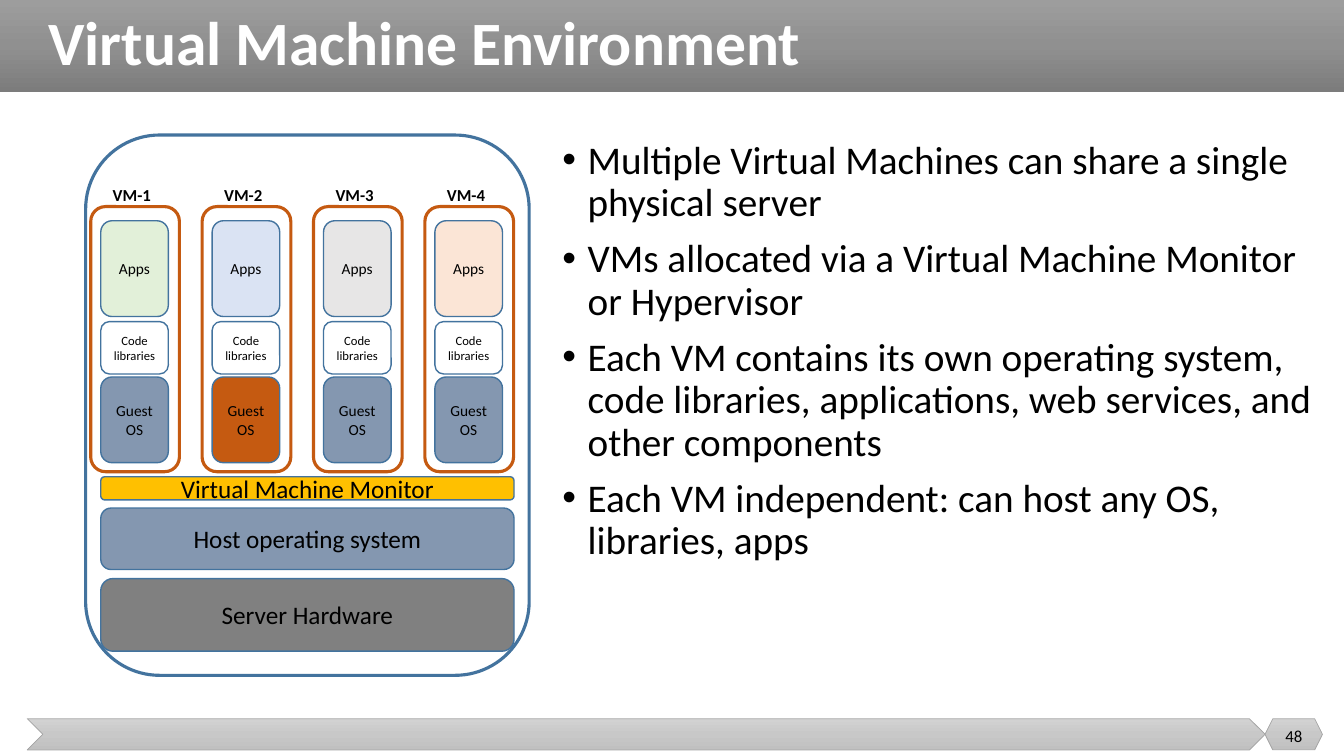
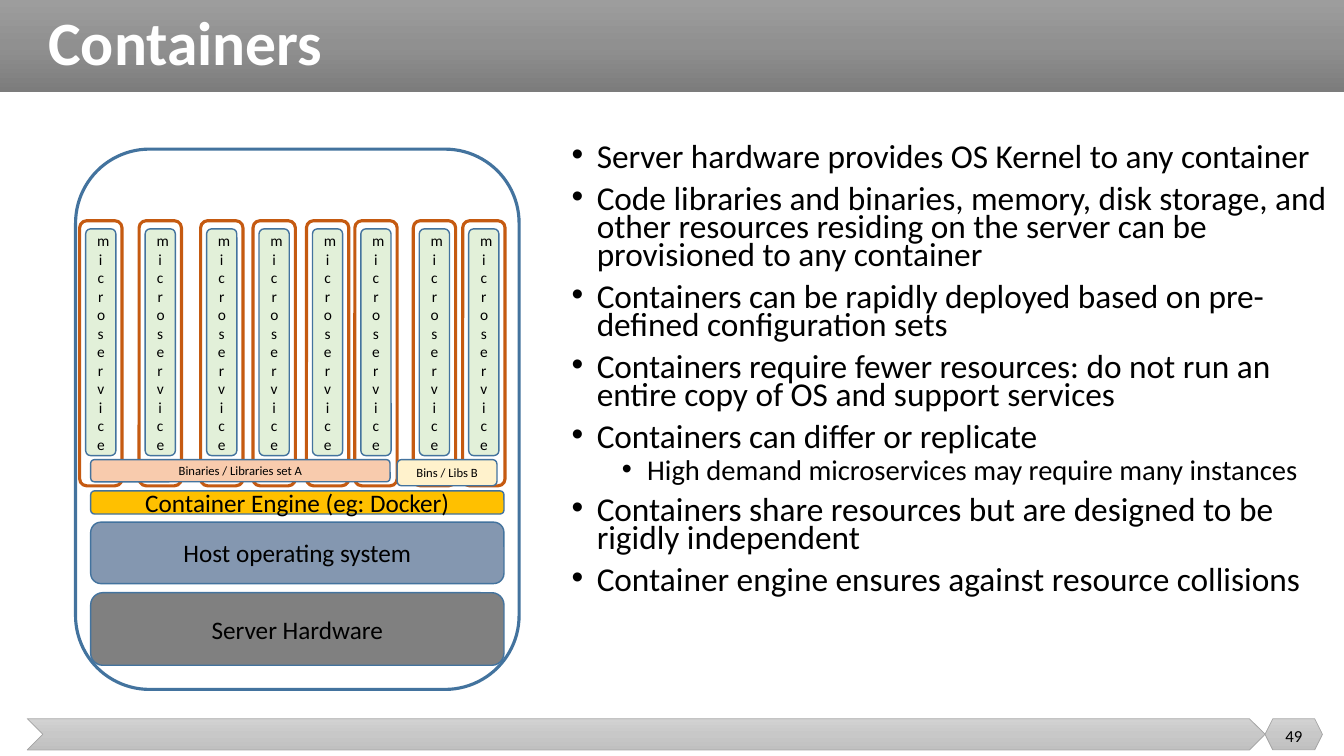
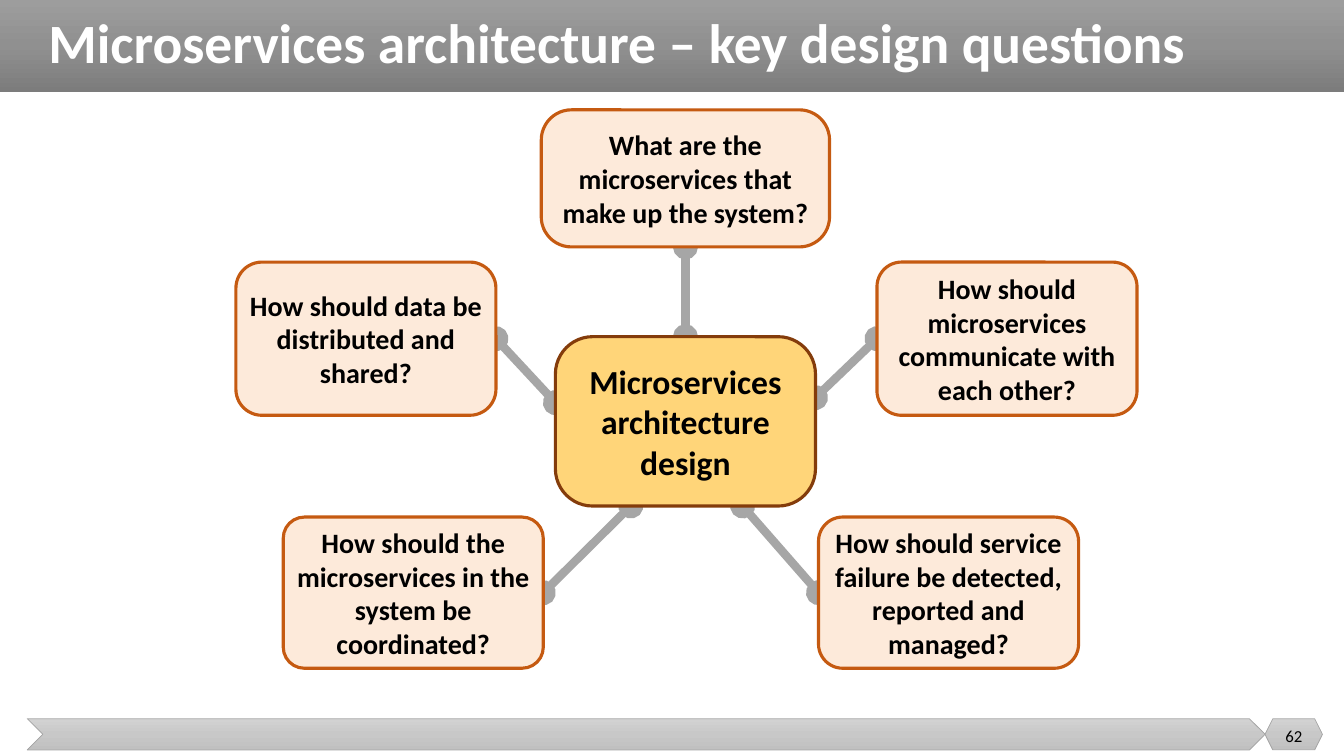
from copy import deepcopy
from dataclasses import dataclass

from lxml.etree import SubElement
from pptx import Presentation
from pptx.dml.color import RGBColor
from pptx.enum.shapes import MSO_CONNECTOR, MSO_SHAPE
from pptx.enum.text import MSO_ANCHOR, MSO_AUTO_SIZE, PP_ALIGN
from pptx.oxml.ns import qn
from pptx.util import Inches, Pt

FONT = "Calibri"
BLACK = RGBColor(0x00, 0x00, 0x00)
WHITE = RGBColor(0xFF, 0xFF, 0xFF)
BLUE_LINE = RGBColor(0x43, 0x73, 0x9E)
SLATE = RGBColor(0x84, 0x97, 0xB0)
GRAY = RGBColor(0x80, 0x80, 0x80)
GOLD = RGBColor(0xFF, 0xC0, 0x00)
ORANGE = RGBColor(0xC5, 0x5A, 0x11)
BROWN = RGBColor(0x84, 0x3C, 0x0B)
PALE_GREEN = RGBColor(0xE2, 0xF0, 0xD9)
PALE_BLUE = RGBColor(0xDA, 0xE3, 0xF3)
PALE_GRAY = RGBColor(0xE7, 0xE6, 0xE6)
PALE_ORANGE = RGBColor(0xFB, 0xE5, 0xD6)
PEACH = RGBColor(0xF8, 0xCB, 0xAD)
CREAM = RGBColor(0xFF, 0xF2, 0xCC)
HUB_FILL = RGBColor(0xFF, 0xD5, 0x79)
QUESTION_FILL = RGBColor(0xFD, 0xEA, 0xDA)
LINK_GRAY = RGBColor(0xA6, 0xA6, 0xA6)
FOOTER_LINE = RGBColor(0xA5, 0xA5, 0xA5)
HEADER_SHADES = (RGBColor(0x9D, 0x9D, 0x9D), RGBColor(0x90, 0x90, 0x90), RGBColor(0x7C, 0x7C, 0x7C))
FOOTER_SHADES = (RGBColor(0xD2, 0xD2, 0xD2), RGBColor(0xC8, 0xC8, 0xC8), RGBColor(0xC0, 0xC0, 0xC0))


def cells(count):
    """Convert a count of grid cells, ten to the inch, to a length."""
    return Inches(count / 10)


@dataclass
class Box:
    """A rectangle measured in grid columns and rows."""

    left: float
    top: float
    width: float
    height: float

    def area(self, left, top, width, height):
        """Return a box placed relative to this one."""
        return Box(self.left + left, self.top + top, width, height)

    def point(self, across, down):
        """Return the point at the given shares of width and height."""
        return cells(self.left + across * self.width), cells(self.top + down * self.height)

    def lengths(self):
        """Return left, top, width and height as lengths."""
        return [cells(count) for count in (self.left, self.top, self.width, self.height)]


SLIDE = Box(0, 0, 133.33, 75)
HEADER = SLIDE.area(0, 0, 133.33, 9.1)
TITLE = SLIDE.area(3.8, 0, 127.4, 9.1)
FOOTER = SLIDE.area(2.7, 71.3, 122.8, 3.1)
PAGE_BADGE = SLIDE.area(125.5, 71.3, 5.7, 3.1)
PAGE_NUMBER = SLIDE.area(125.5, 71, 5.7, 4)

VM_COLUMNS = (
    ("VM-1", PALE_GREEN, SLATE),
    ("VM-2", PALE_BLUE, ORANGE),
    ("VM-3", PALE_GRAY, SLATE),
    ("VM-4", PALE_ORANGE, SLATE),
)
CONTAINER_COLUMNS = (0.4, 6.3, 12.4, 17.6, 22.9, 27.7, 33.5, 38.4)

VM_POINTS = (
    (0, "Multiple Virtual Machines can share a single physical server"),
    (0, "VMs allocated via a Virtual Machine Monitor or Hypervisor"),
    (0, "Each VM contains its own operating system, code libraries, applications, "
        "web services, and other components"),
    (0, "Each VM independent: can host any OS, libraries, apps"),
)
CONTAINER_POINTS = (
    (0, "Server hardware provides OS Kernel to any container"),
    (0, "Code libraries and binaries, memory, disk storage, and other resources "
        "residing on the server can be provisioned to any container"),
    (0, "Containers can be rapidly deployed based on pre-defined configuration sets"),
    (0, "Containers require fewer resources: do not run an entire copy of OS and support services"),
    (0, "Containers can differ or replicate"),
    (1, "High demand microservices may require many instances"),
    (0, "Containers share resources but are designed to be rigidly independent"),
    (0, "Container engine ensures against resource collisions"),
)

HUB = Box(55.1, 33.4, 25.8, 16.8)
QUESTIONS = (
    ("How should microservices communicate with each other?",
     Box(87, 26, 25.8, 15.2), 0.16, (0, 0.5), (1, 0.36)),
    ("How should service failure be detected, reported and managed?",
     Box(81.2, 51.3, 25.8, 15), 0.16, (0, 0.5), (0.72, 1)),
    ("How should data be distributed and shared?",
     Box(23.4, 26, 25.8, 15.2), 0.17, (1, 0.5), (0, 0.39)),
    ("What are the microservices that make up the system?",
     Box(53.7, 10.9, 28.6, 13.6), 0.22, (0.5, 1), (0.5, 0)),
    ("How should the microservices in the system be coordinated?",
     Box(28.1, 51.3, 25.8, 15), 0.14, (1, 0.5), (0.29, 1)),
)


def format_runs(paragraph, size, color=BLACK, bold=False):
    """Set the font of every run in a paragraph."""
    for run in paragraph.runs:
        run.font.name = FONT
        run.font.size = Pt(size)
        run.font.bold = bold
        run.font.color.rgb = color


def add_panel(slide, box, fill, line, line_width=1, roundness=None):
    """Add a flat rounded rectangle."""
    shape = slide.shapes.add_shape(MSO_SHAPE.ROUNDED_RECTANGLE, *box.lengths())
    shape.shadow.inherit = False
    shape.fill.solid()
    shape.fill.fore_color.rgb = fill
    shape.line.color.rgb = line
    shape.line.width = Pt(line_width)
    if roundness is not None:
        shape.adjustments[0] = roundness
    return shape


def write_centred(shape, text, size, bold=False):
    """Write centred text in a shape."""
    text_frame = shape.text_frame
    text_frame.text = text
    text_frame.word_wrap = True
    text_frame.vertical_anchor = MSO_ANCHOR.MIDDLE
    for paragraph in text_frame.paragraphs:
        paragraph.alignment = PP_ALIGN.CENTER
        format_runs(paragraph, size, bold=bold)


def add_block(slide, box, text, size, fill):
    """Add a blue-outlined block with a caption."""
    write_centred(add_panel(slide, box, fill, BLUE_LINE), text, size)


def add_band(slide, kind, box, shades, line=None):
    """Add a band shaded from top to bottom."""
    shape = slide.shapes.add_shape(kind, *box.lengths())
    shape.shadow.inherit = False
    shape.fill.gradient()
    shape.fill.gradient_angle = 270
    stop_list = shape.element.spPr.find(".//" + qn("a:gsLst"))
    stop_list.insert(1, deepcopy(stop_list[0]))
    for stop, position, shade in zip(shape.fill.gradient_stops, (0, 0.5, 1), shades):
        stop.position = position
        stop.color.rgb = shade
    if line is None:
        shape.line.fill.background()
    else:
        shape.line.color.rgb = line
        shape.line.width = Pt(0.5)
    return shape


def dress_master(presentation, slide):
    """Draw the header and footer bands and move them to the slide master."""
    bands = (
        add_band(slide, MSO_SHAPE.RECTANGLE, HEADER, HEADER_SHADES),
        add_band(slide, MSO_SHAPE.CHEVRON, FOOTER, FOOTER_SHADES, FOOTER_LINE),
        add_band(slide, MSO_SHAPE.HEXAGON, PAGE_BADGE, FOOTER_SHADES, FOOTER_LINE),
    )
    tree = presentation.slide_master.shapes.element
    for order, band in enumerate(bands):
        band.element.nvSpPr.cNvPr.set("id", str(100 + order))
        tree.insert(2 + order, band.element)


def place(shape, box):
    """Move and size a shape to a box."""
    shape.left, shape.top, shape.width, shape.height = box.lengths()


def add_titled_slide(presentation, layout_index, title_text, page, title_size=44):
    """Add a slide with its title and page number."""
    slide = presentation.slides.add_slide(presentation.slide_layouts[layout_index])
    title = slide.shapes.title
    place(title, TITLE)
    text_frame = title.text_frame
    text_frame.text = title_text
    text_frame.word_wrap = True
    text_frame.auto_size = MSO_AUTO_SIZE.NONE
    text_frame.vertical_anchor = MSO_ANCHOR.MIDDLE
    paragraph = text_frame.paragraphs[0]
    paragraph.alignment = PP_ALIGN.LEFT
    paragraph.line_spacing = 0.9
    format_runs(paragraph, title_size, WHITE, True)
    write_centred(slide.shapes.add_textbox(*PAGE_NUMBER.lengths()), page, 12)
    return slide


def fill_body(slide, box, points, sizes, line_spacing):
    """Write a bulleted list, with a size per level, in the body placeholder."""
    body = slide.placeholders[1]
    place(body, box)
    text_frame = body.text_frame
    text_frame.text = "\n".join(text for _, text in points)
    text_frame.word_wrap = True
    text_frame.auto_size = MSO_AUTO_SIZE.NONE
    text_frame.vertical_anchor = MSO_ANCHOR.TOP
    for index, (paragraph, (level, _)) in enumerate(zip(text_frame.paragraphs, points)):
        paragraph.level = level
        properties = paragraph._p.get_or_add_pPr()
        properties.set("marL", str(Inches(0.25 + 0.5 * level)))
        properties.set("indent", str(-Inches(0.25)))
        SubElement(properties, qn("a:buFont")).set("typeface", "Arial")
        SubElement(properties, qn("a:buChar")).set("char", "•")
        paragraph.line_spacing = line_spacing
        paragraph.space_before = Pt((10, 5)[level] if index else 0)
        format_runs(paragraph, sizes[level])


def draw_server(slide, box, engine):
    """Draw a server outline with hardware, operating system and engine layers."""
    add_panel(slide, box, WHITE, BLUE_LINE, 2.25)
    layers = (
        ("Server Hardware", 44, 7.2, GRAY),
        ("Host operating system", 37, 6.1, SLATE),
        (engine, 33.9, 2.3, GOLD),
    )
    for text, top, height, fill in layers:
        add_block(slide, box.area(1.5, top, 41, height), text, 18, fill)


def draw_virtual_machine(slide, box, name, apps_fill, guest_fill):
    """Draw one virtual machine with its name above."""
    add_panel(slide, box, WHITE, ORANGE, 2.25)
    layers = (
        ("Guest OS", 16.9, 8.5, 11, guest_fill),
        ("Code libraries", 11.4, 5.2, 9, WHITE),
        ("Apps", 1.4, 9.5, 11, apps_fill),
    )
    for text, top, height, size, fill in layers:
        add_block(slide, box.area(1, top, 6.7, height), text, size, fill)
    label = slide.shapes.add_textbox(*box.area(1.2, -2.7, 5.9, 3).lengths())
    label.text_frame.text = name
    label.text_frame.word_wrap = False
    format_runs(label.text_frame.paragraphs[0], 12, bold=True)


def draw_container(slide, box):
    """Draw one container holding a microservice."""
    add_panel(slide, box, WHITE, ORANGE, 2.25)
    add_block(slide, box.area(0.6, 0.8, 3, 22.5), "microservice", 11, PALE_GREEN)


def draw_link(slide, start, end):
    """Draw a thick line with round ends."""
    connector = slide.shapes.add_connector(MSO_CONNECTOR.STRAIGHT, *start, *end)
    connector.line.color.rgb = LINK_GRAY
    connector.line.width = Pt(6)
    properties = connector.element.spPr
    line = properties.find(qn("a:ln"))
    for tag in ("a:headEnd", "a:tailEnd"):
        SubElement(line, qn(tag)).set("type", "oval")
    SubElement(properties, qn("a:effectLst"))


def draw_node(slide, box, text, size, fill, line, roundness):
    """Draw a bold design node without text margins."""
    shape = add_panel(slide, box, fill, line, 2.25, roundness)
    write_centred(shape, text, size, True)
    text_frame = shape.text_frame
    text_frame.margin_left = text_frame.margin_right = 0
    text_frame.margin_top = text_frame.margin_bottom = 0


def build_virtual_machines(presentation):
    """Build the virtual machine slide."""
    slide = add_titled_slide(presentation, 1, "Virtual Machine Environment", "48")
    fill_body(slide, SLIDE.area(54.8, 13.4, 76.4, 54.2), VM_POINTS, (28,), 0.9)
    server = SLIDE.area(8.5, 13.4, 44, 53.6)
    draw_server(slide, server, "Virtual Machine Monitor")
    for index, column in enumerate(VM_COLUMNS):
        draw_virtual_machine(slide, server.area(0.5 + 11.05 * index, 7.1, 8.8, 26.3), *column)
    return slide


def build_containers(presentation):
    """Build the containers slide."""
    slide = add_titled_slide(presentation, 1, "Containers", "49")
    fill_body(slide, SLIDE.area(55.7, 14, 77.6, 53.6), CONTAINER_POINTS, (23.8, 20.4), 0.7)
    server = SLIDE.area(7.5, 14.8, 44, 53.6)
    draw_server(slide, server, "Container Engine (eg: Docker)")
    for left in CONTAINER_COLUMNS:
        draw_container(slide, server.area(left, 7.1, 4.2, 26.3))
    add_block(slide, server.area(1.5, 30.8, 29.7, 2.2), "Binaries / Libraries set A", 9, PEACH)
    add_block(slide, server.area(31.9, 30.8, 9.9, 2.6), "Bins / Libs B", 9, CREAM)


def build_design_questions(presentation):
    """Build the hub of design questions."""
    title = "Microservices architecture – key design questions"
    slide = add_titled_slide(presentation, 5, title, "62", 39.6)
    for _, box, _, port, hub_port in QUESTIONS:
        draw_link(slide, box.point(*port), HUB.point(*hub_port))
    draw_node(slide, HUB, "Microservices architecture\ndesign", 24, HUB_FILL, BROWN, 0.22)
    for text, box, roundness, _, _ in QUESTIONS:
        draw_node(slide, box, text, 20, QUESTION_FILL, ORANGE, roundness)


def main():
    """Build and save the presentation."""
    presentation = Presentation()
    presentation.slide_width = cells(SLIDE.width)
    presentation.slide_height = cells(SLIDE.height)
    first_slide = build_virtual_machines(presentation)
    dress_master(presentation, first_slide)
    build_containers(presentation)
    build_design_questions(presentation)
    presentation.save("out.pptx")


if __name__ == "__main__":
    main()
